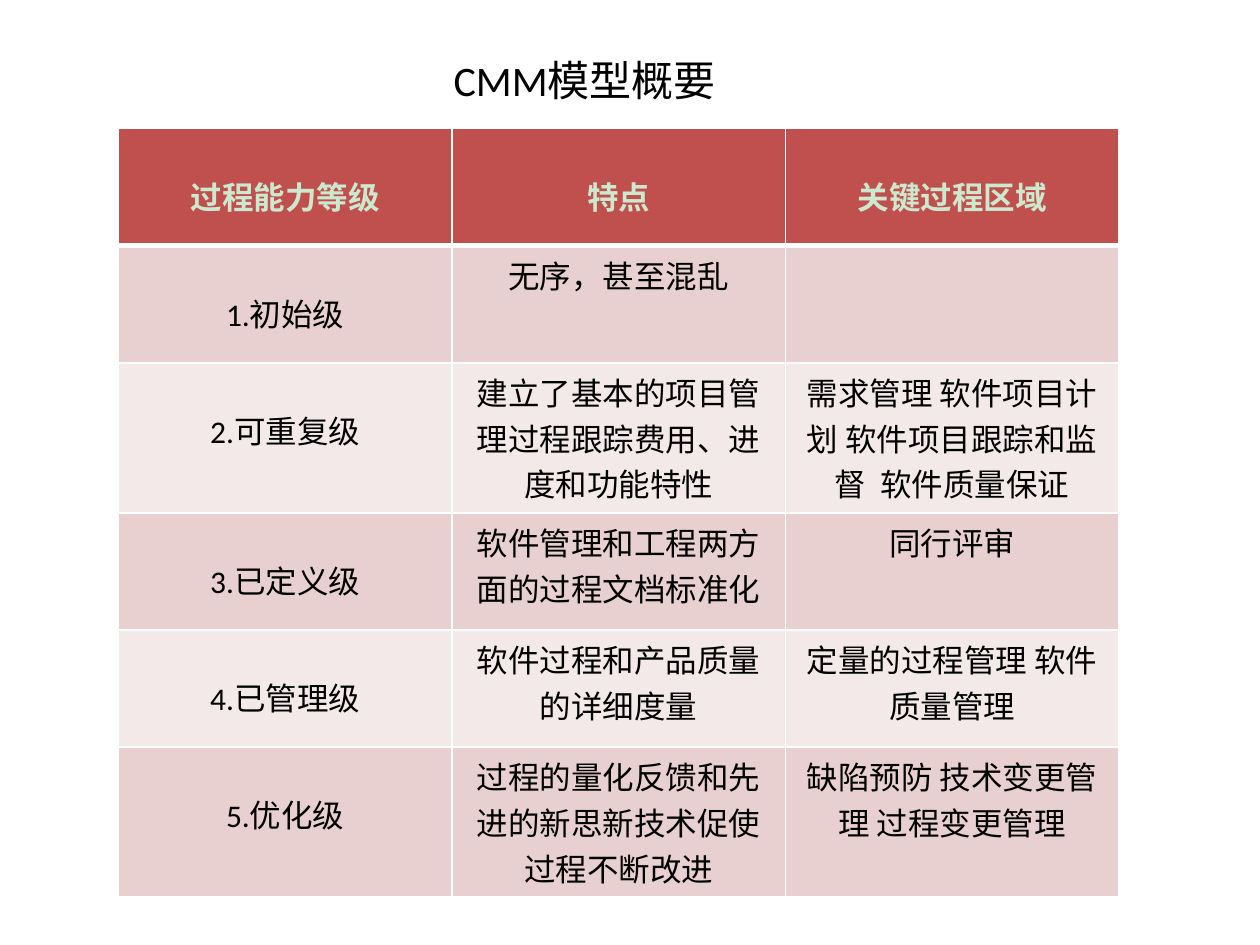
import pptx
import pptx.util
from pptx.dml.color import RGBColor
from pptx.enum.text import MSO_ANCHOR, PP_ALIGN
from pptx.oxml import parse_xml
from pptx.oxml.ns import nsdecls

Inches, Pt = pptx.util.Inches, pptx.util.Pt

FONT = "Calibri"
BLACK = RGBColor(0x00, 0x00, 0x00)
WHITE = RGBColor(0xFF, 0xFF, 0xFF)
PALE_GREEN = RGBColor(0xCC, 0xE8, 0xCF)
HEADER_RED = RGBColor(0xC0, 0x50, 0x4D)
BANDS = [RGBColor(0xE8, 0xD0, 0xD0), RGBColor(0xF4, 0xE9, 0xE9)]

TABLE_WIDTH = Inches(7.94)
ROW_HEIGHT = Inches(0.93)
TALL_ROW_HEIGHT = Inches(1.19)  # room for three lines of text
TWO_LINES = 18  # most characters that fit on two lines of a cell
LOWERED_TOP = Inches(0.35)  # headings and levels start one line down

LEVELS = [
    ("过程能力等级", "特点", "关键过程区域"),
    ("1.初始级", "无序，甚至混乱", ""),
    ("2.可重复级", "建立了基本的项目管理过程跟踪费用、进度和功能特性",
     "需求管理 软件项目计划 软件项目跟踪和监督  软件质量保证"),
    ("3.已定义级", "软件管理和工程两方面的过程文档标准化", "同行评审"),
    ("4.已管理级", "软件过程和产品质量的详细度量", "定量的过程管理 软件质量管理"),
    ("5.优化级", "过程的量化反馈和先进的新思新技术促使过程不断改进",
     "缺陷预防 技术变更管理 过程变更管理"),
]


def write(frame, text, size, color, bold=False):
    paragraph = frame.paragraphs[0]
    paragraph.text = text
    paragraph.alignment = PP_ALIGN.CENTER
    paragraph.font.name = FONT
    paragraph.font.size = Pt(size)
    paragraph.font.bold = bold
    paragraph.font.color.rgb = color


def set_borders(cell, top, bottom):
    """Draw the four cell borders; widths are in points."""
    properties = cell._tc.get_or_add_tcPr()
    widths = {"lnL": 1, "lnR": 1, "lnT": top, "lnB": bottom}
    for position, (side, width) in enumerate(widths.items()):
        properties.insert(position, parse_xml(
            f'<a:{side} {nsdecls("a")} w="{Pt(width)}"><a:solidFill>'
            f'<a:srgbClr val="{WHITE}"/></a:solidFill></a:{side}>'))


def add_title(slide, text):
    title = slide.shapes.add_textbox(
        Inches(0.39), Inches(0.31), Inches(8.5), Inches(0.64))
    title.text_frame.word_wrap = True
    title.text_frame.vertical_anchor = MSO_ANCHOR.MIDDLE
    write(title.text_frame, text, 24, BLACK)


def add_levels_table(slide, rows):
    heights = [TALL_ROW_HEIGHT if len(features) > TWO_LINES else ROW_HEIGHT
               for _, features, _ in rows]
    table = slide.shapes.add_table(
        len(rows), len(rows[0]), Inches(0.94), Inches(1.02),
        TABLE_WIDTH, sum(heights)).table
    for row, texts in enumerate(rows):
        table.rows[row].height = heights[row]
        is_header = row == 0
        for column, text in enumerate(texts):
            cell = table.cell(row, column)
            cell.fill.solid()
            cell.fill.fore_color.rgb = (
                HEADER_RED if is_header else BANDS[(row - 1) % 2])
            if is_header or column == 0:
                cell.margin_top = LOWERED_TOP
            write(cell.text_frame, text, 18,
                  PALE_GREEN if is_header else BLACK, is_header)
            set_borders(cell, top=3 if row == 1 else 1,
                        bottom=3 if is_header else 1)


def main():
    deck = pptx.Presentation()
    deck.slide_width, deck.slide_height = Inches(10), Inches(7.5)
    slide = deck.slides.add_slide(deck.slide_layouts[6])
    slide.background.fill.solid()
    slide.background.fill.fore_color.rgb = WHITE

    # Heading
    add_title(slide, "CMM模型概要")

    # Maturity levels
    add_levels_table(slide, LEVELS)

    deck.save("out.pptx")


if __name__ == "__main__":
    main()
